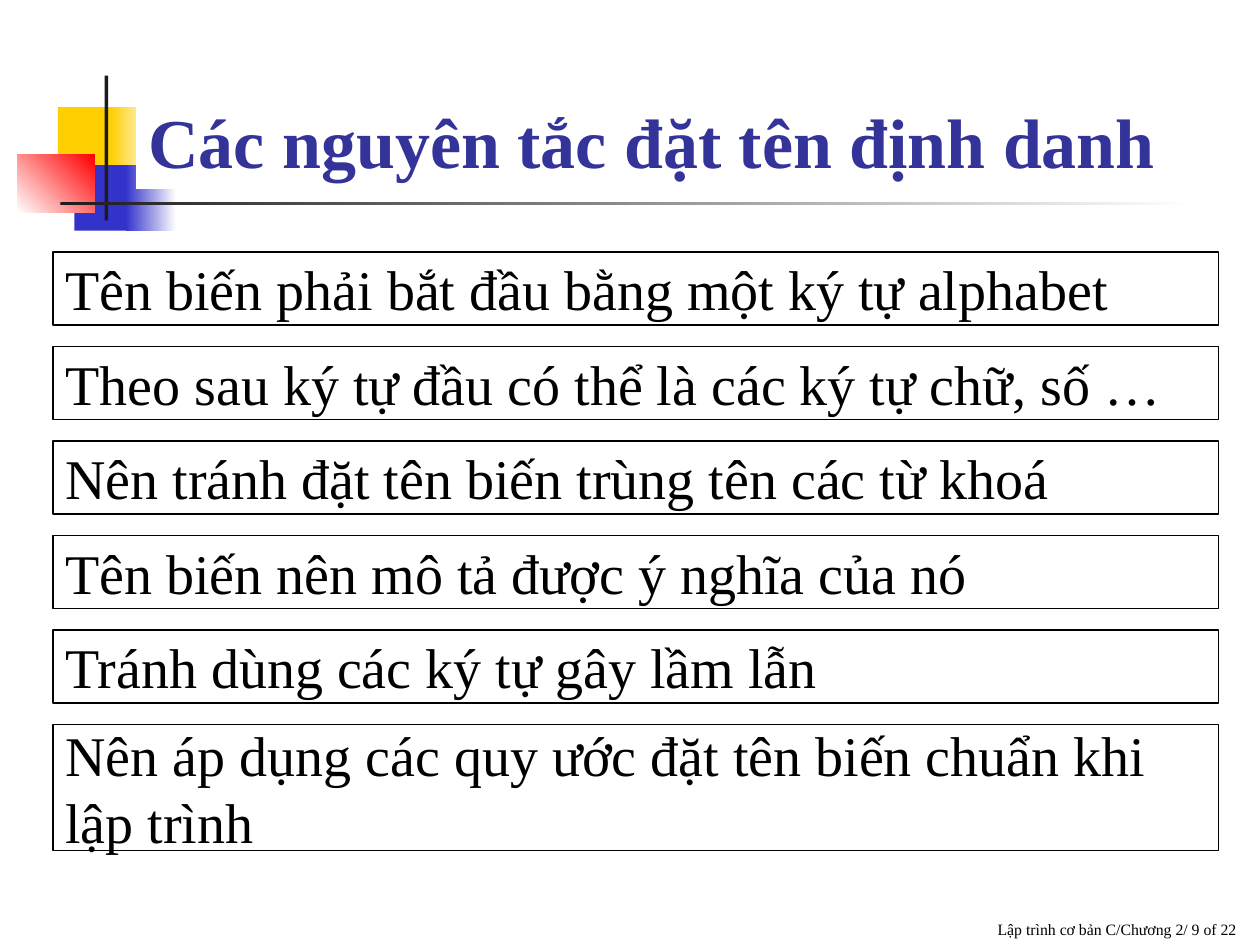
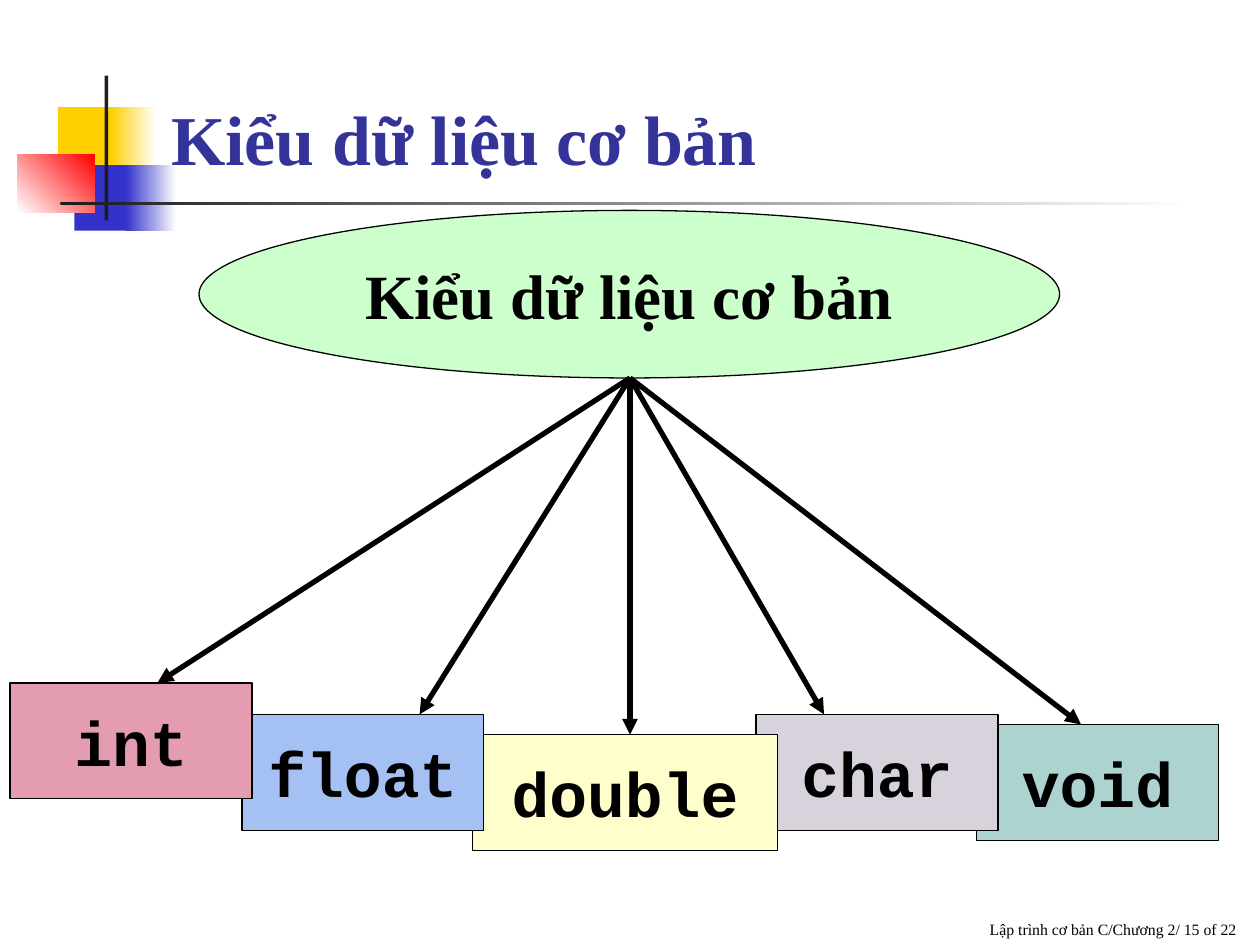
from lxml import etree
from pptx import Presentation
from pptx.dml.color import RGBColor
from pptx.enum.shapes import MSO_CONNECTOR, MSO_SHAPE
from pptx.enum.text import MSO_ANCHOR, PP_ALIGN
from pptx.oxml.ns import qn
from pptx.util import Inches, Pt

RECT, OVAL = MSO_SHAPE.RECTANGLE, MSO_SHAPE.OVAL
LINE = MSO_CONNECTOR.STRAIGHT
LEFT, MID, RIGHT = PP_ALIGN.LEFT, PP_ALIGN.CENTER, PP_ALIGN.RIGHT
CORE, BASE = MSO_ANCHOR.MIDDLE, MSO_ANCHOR.BOTTOM

SERIF, MONO = "Times New Roman", "Courier New"
BLACK, WHITE, NAVY = "000000", "FFFFFF", "333399"
GOLD, BLUE, RED, DARK = "FFCF01", "3333CC", "FF0000", "1C1C1C"
MOTIF = [
    ((0.46, 0.85, 0.48, 0.52), GOLD, None, 0),
    ((0.88, 0.85, 0.36, 0.52), GOLD, WHITE, 0),
    ((0.59, 1.31, 0.46, 0.52), BLUE, None, 0),
    ((1, 1.31, 0.4, 0.52), BLUE, WHITE, 0),
    ((0.14, 1.23, 0.61, 0.46), WHITE, RED, 45),
    ((0.83, 0.6, 0.03, 1.15), DARK, None, 0),
    ((0.48, 1.6, 9, 0.03), DARK, WHITE, 0),
]


def color(code):
    return RGBColor.from_string(code)


class Deck:
    """Holds the shared style and the slide being built."""

    def __init__(self):
        self.file = Presentation()
        self.file.slide_width, self.file.slide_height = Inches(10), Inches(7.5)

    def page(self, number):
        self.slide = self.file.slides.add_slide(self.file.slide_layouts[6])
        for box, start, end, angle in MOTIF:
            self.shape(box, start, end, angle)
        foot = self.label((3.83, 7, 6.08, 0.5))
        self.text(foot, f"Lập trình cơ bản C/Chương 2/ {number} of 22", 9, RIGHT, BASE)

    def shape(self, box, fill=None, end=None, angle=0, edge=False, kind=RECT):
        item = self.slide.shapes.add_shape(kind, *map(Inches, box))
        item.shadow.inherit = False
        if end:
            item.fill.gradient()
            item.fill.gradient_angle = angle
            for stop, code in zip(item.fill.gradient_stops, (fill, end)):
                stop.color.rgb = color(code)
        elif fill:
            item.fill.solid()
            item.fill.fore_color.rgb = color(fill)
        else:
            item.fill.background()
        if edge:
            item.line.color.rgb = color(BLACK)
            item.line.width = Pt(0.75)
        else:
            item.line.fill.background()
        return item

    def label(self, box):
        return self.slide.shapes.add_textbox(*map(Inches, box))

    def text(self, item, words, size, align=LEFT, anchor=CORE, face=SERIF,
             ink=BLACK, bold=False):
        frame = item.text_frame
        frame.word_wrap = True
        frame.vertical_anchor = anchor
        line = frame.paragraphs[0]
        line.text, line.alignment = words, align
        font = line.font
        font.name, font.size, font.bold = face, Pt(size), bold
        font.color.rgb = color(ink)

    def title(self, item, words):
        self.text(item, words, 40, anchor=BASE, ink=NAVY, bold=True)

    def rule(self, top, high, words):
        self.text(self.shape((0.42, top, 9.25, high), edge=True), words, 32)

    def node(self, box, fill, words, face=MONO, kind=RECT):
        item = self.shape(box, fill, edge=True, kind=kind)
        self.text(item, words, 36, MID, face=face, bold=True)

    def arrow(self, start, end):
        item = self.slide.shapes.add_connector(LINE, *map(Inches, start + end))
        item.line.color.rgb = color(BLACK)
        item.line.width = Pt(3)
        edge = item.line._get_or_add_ln()
        etree.SubElement(edge, qn("a:tailEnd"), type="triangle")
        etree.SubElement(item._element.spPr, qn("a:effectLst"))


RULES = [
    "Tên biến phải bắt đầu bằng một ký tự alphabet",
    "Theo sau ký tự đầu có thể là các ký tự chữ, số …",
    "Nên tránh đặt tên biến trùng tên các từ khoá",
    "Tên biến nên mô tả được ý nghĩa của nó",
    "Tránh dùng các ký tự gây lầm lẫn",
    "Nên áp dụng các quy ước đặt tên biến chuẩn khi lập trình",
]
TYPES = [
    ("void", 7.75, 5.75, 1.92, "ADD3D1", 8.58),
    ("char", 6, 5.67, 1.92, "D7D2DC", 6.54),
    ("double", 3.75, 5.83, 2.42, "FFFFCC", 5),
    ("float", 1.92, 5.67, 1.92, "A5C1F3", 3.33),
    ("int", 0.08, 5.42, 1.92, "E49CB1", 1.25),
]

deck = Deck()

deck.page(9)
deck.title(deck.shape((1.08, 0.58, 8.7, 0.92), WHITE), "Các nguyên tắc đặt tên định danh")
for row, words in enumerate(RULES):
    deck.rule(2 + 0.75 * row, 1 if words == RULES[-1] else 0.58, words)

deck.page(15)
topic = "Kiểu dữ liệu cơ bản"
deck.title(deck.label((1.26, 0.58, 8.41, 0.89)), topic)
deck.node((1.58, 1.67, 6.83, 1.33), "CCFFCC", topic, SERIF, OVAL)
for name, left, top, wide, fill, tip in TYPES:
    deck.node((left, top, wide, 0.92), fill, name)
for name, left, top, wide, fill, tip in TYPES:
    deck.arrow((5, 3), (tip, top))

deck.file.save("out.pptx")
